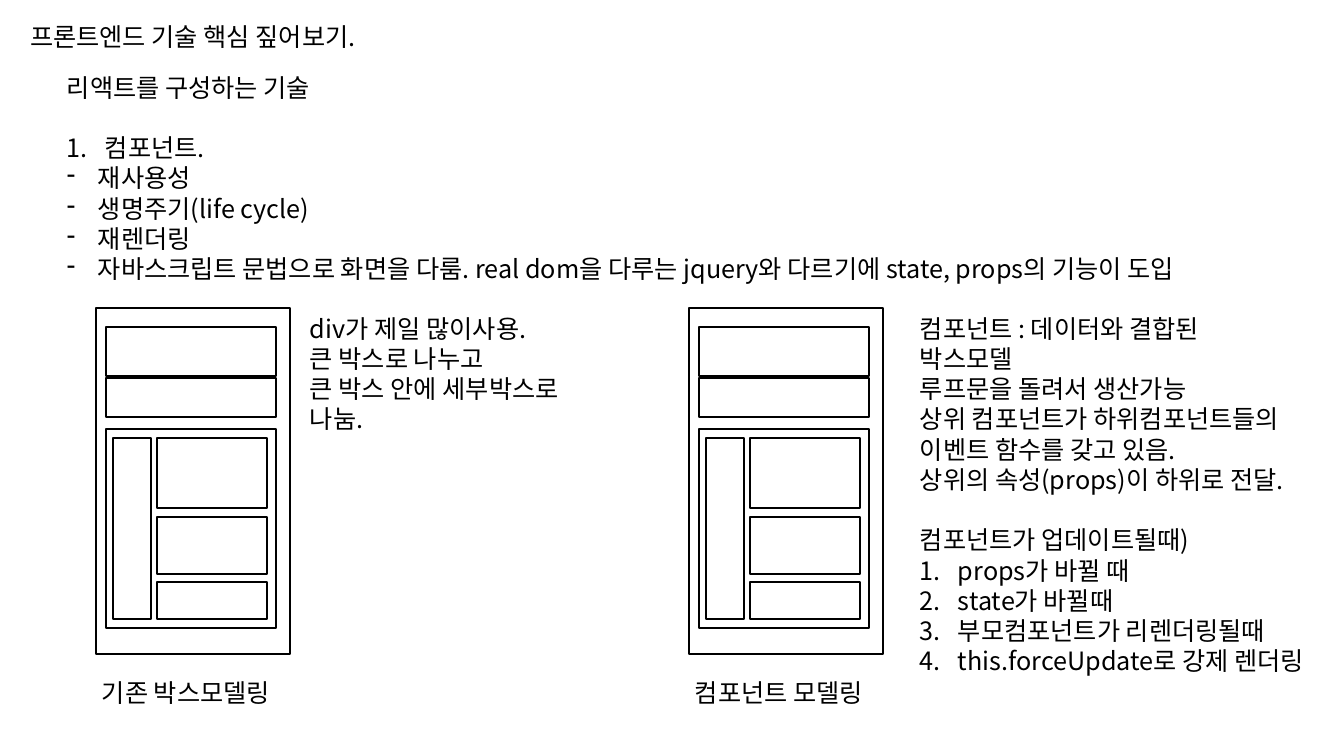
import pptx
import pptx.util
import pptx.dml.color
import pptx.enum.shapes
import pptx.enum.text
import pptx.oxml
import pptx.oxml.ns

BLACK = pptx.dml.color.RGBColor(0, 0, 0)
FONT = "Noto Sans CJK KR"
EMU_PER_PX = 914400 / 100.8
LINE_GAP = pptx.util.Pt(21.7)


def px(*lengths):
    return [pptx.util.Emu(round(length * EMU_PER_PX)) for length in lengths]


def write(shape, lines):
    frame = shape.text_frame
    frame.word_wrap = False
    frame.auto_size = pptx.enum.text.MSO_AUTO_SIZE.SHAPE_TO_FIT_TEXT
    frame.vertical_anchor = pptx.enum.text.MSO_ANCHOR.TOP
    for index, (marker, gap_before, words) in enumerate(lines):
        paragraph = frame.add_paragraph() if index else frame.paragraphs[0]
        paragraph.alignment = pptx.enum.text.PP_ALIGN.LEFT
        if gap_before:
            paragraph.space_before = LINE_GAP
        if marker:
            properties = paragraph._p.get_or_add_pPr()
            indent = px(38 if marker == "1." else 31)[0]
            properties.set("marL", str(indent))
            properties.set("indent", str(-indent))
            tag, key, value = ("a:buAutoNum", "type", "arabicPeriod") if marker == "1." else ("a:buChar", "char", marker)
            bullet = pptx.oxml.parse_xml(f'<{tag} {pptx.oxml.ns.nsdecls("a")} {key}="{value}"/>')
            properties.append(bullet)
        run = paragraph.add_run()
        run.text = words
        run.font.size = pptx.util.Pt(18)
        run.font.name = FONT
        run.font.color.rgb = BLACK
        east_asian = pptx.oxml.parse_xml(f'<a:ea {pptx.oxml.ns.nsdecls("a")} typeface="{FONT}"/>')
        run.font._element.find(pptx.oxml.ns.qn("a:latin")).addnext(east_asian)


deck = pptx.Presentation()
deck.slide_width, deck.slide_height = px(1344, 756)
slide = deck.slides.add_slide(deck.slide_layouts[5])

heading = slide.shapes.title
heading.left, heading.top, heading.width, heading.height = px(20, 16, 384, 40)
write(heading, [("", False, "프론트엔드 기술 핵심 짚어보기.")])

react_parts = slide.shapes.add_textbox(*px(57, 67, 1223, 224))
write(react_parts, [
    ("", False, "리액트를 구성하는 기술"),
    ("1.", True, "컴포넌트."),
    ("-", False, "재사용성"),
    ("-", False, "생명주기(life cycle)"),
    ("-", False, "재렌더링"),
    ("-", False, "자바스크립트 문법으로 화면을 다룸. real dom을 다루는 jquery와 다르기에 state, props의 기능이 도입"),
])

model_boxes = [
    (96, 308, 194, 346),
    (106, 327, 170, 49),
    (106, 378, 170, 39),
    (106, 429, 170, 199),
    (113, 438, 38, 181),
    (157, 438, 110, 70),
    (157, 517, 110, 57),
    (157, 582, 110, 37),
]
for shift, caption in [(0, "기존 박스모델링"), (593, "컴포넌트 모델링")]:
    for left, top, width, height in model_boxes:
        box = slide.shapes.add_shape(
            pptx.enum.shapes.MSO_SHAPE.RECTANGLE, *px(left + shift, top, width, height))
        box.shadow.inherit = False
        box.fill.background()
        box.line.color.rgb = BLACK
        box.line.width = pptx.util.Pt(1)
    model_caption = slide.shapes.add_textbox(*px(92 + shift, 672, 208, 40))
    write(model_caption, [("", False, caption)])

div_notes = slide.shapes.add_textbox(*px(300, 308, 301, 132))
write(div_notes, [
    ("", False, "div가 제일 많이사용."),
    ("", False, "큰 박스로 나누고"),
    ("", False, "큰 박스 안에 세부박스로"),
    ("", False, "나눔."),
])

component_notes = slide.shapes.add_textbox(*px(910, 308, 420, 407))
write(component_notes, [
    ("", False, "컴포넌트 : 데이터와 결합된"),
    ("", False, "박스모델"),
    ("", False, "루프문을 돌려서 생산가능"),
    ("", False, "상위 컴포넌트가 하위컴포넌트들의"),
    ("", False, "이벤트 함수를 갖고 있음."),
    ("", False, "상위의 속성(props)이 하위로 전달."),
    ("", True, "컴포넌트가 업데이트될때)"),
    ("1.", False, "props가 바뀔 때"),
    ("1.", False, "state가 바뀔때"),
    ("1.", False, "부모컴포넌트가 리렌더링될때"),
    ("1.", False, "this.forceUpdate로 강제 렌더링"),
])

deck.save("out.pptx")
